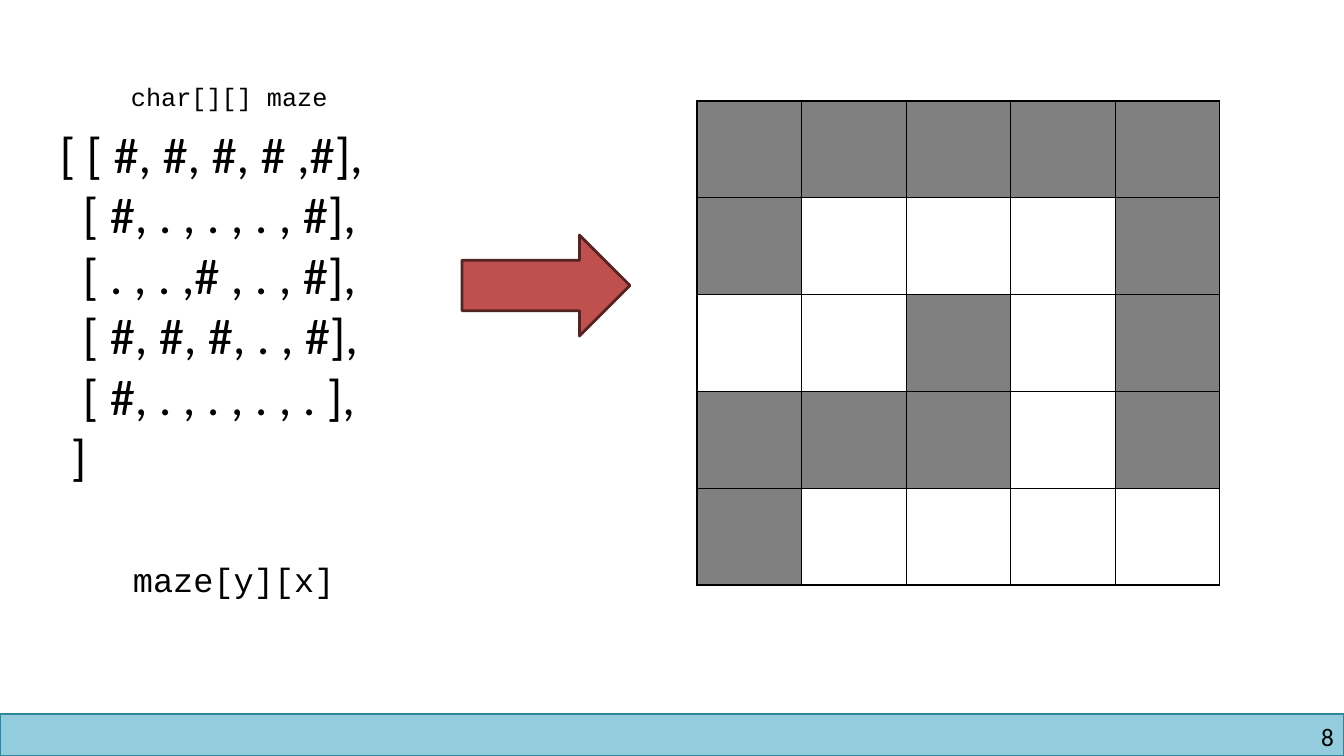
import dataclasses

import lxml.etree
import pptx
import pptx.dml.color
import pptx.enum.shapes
import pptx.enum.text
import pptx.oxml.ns
import pptx.util


@dataclasses.dataclass(frozen=True)
class Theme:
    ink: str = "000000"
    wall: str = "808080"
    floor: str = "FFFFFF"
    footer: str = "93CDDD"
    footer_line: str = "31859C"
    arrow: str = "C0504D"
    arrow_line: str = "542322"
    body_font: str = "Calibri"
    code_font: str = "Courier New"
    small: int = 18
    medium: int = 24
    large: int = 36


THEME = Theme()
EMU_PER_PX = 914400 / 100.8
SHAPES = pptx.enum.shapes.MSO_SHAPE
ALIGN = pptx.enum.text.PP_ALIGN


def px(*lengths):
    """Turn pixel lengths into a list of EMU lengths."""
    return [pptx.util.Emu(round(length * EMU_PER_PX)) for length in lengths]


def add_text(text, bounds, *, size, font, indents=(0,), align=ALIGN.LEFT, margins=None, wrap=False):
    """Add a text box with one paragraph per line, each with its own indent."""
    box = page.shapes.add_textbox(*px(*bounds))
    frame = box.text_frame
    frame.word_wrap = wrap
    frame.auto_size = pptx.enum.text.MSO_AUTO_SIZE.SHAPE_TO_FIT_TEXT
    if margins is not None:
        frame.margin_left = frame.margin_right = margins
        frame.margin_top = frame.margin_bottom = margins
    frame.text = text
    for para, indent in zip(frame.paragraphs, indents):
        para.alignment = align
        if indent:
            para._p.get_or_add_pPr().set("marL", str(px(indent)[0]))
        span = para.runs[0]
        span.font.name = font
        span.font.size = pptx.util.Pt(size)
        span.font.color.rgb = pptx.dml.color.RGBColor.from_string(THEME.ink)


deck = pptx.Presentation()
deck.slide_width, deck.slide_height = px(1344, 756)
page = deck.slides.add_slide(deck.slide_layouts[6])

# Footer bar and arrow
for kind, bounds, fill, line, width in [
    (SHAPES.RECTANGLE, (0, 714, 1344, 42), THEME.footer, THEME.footer_line, 1),
    (SHAPES.RIGHT_ARROW, (462, 235, 168, 101), THEME.arrow, THEME.arrow_line, 2),
]:
    shape = page.shapes.add_shape(kind, *px(*bounds))
    shape.shadow.inherit = False
    shape.fill.solid()
    shape.fill.fore_color.rgb = pptx.dml.color.RGBColor.from_string(fill)
    shape.line.color.rgb = pptx.dml.color.RGBColor.from_string(line)
    shape.line.width = pptx.util.Pt(width)

add_text("8", (1025, 721, 309, 30), size=THEME.small, font=THEME.body_font,
         align=ALIGN.RIGHT, margins=0, wrap=True)

# Maze drawn as a grid of walls and floors
maze = ["#####", "#...#", "..#.#", "###.#", "#...."]
left, top, width, height = px(697, 101, 523, 484)
grid = page.shapes.add_table(len(maze), len(maze[0]), left, top, width, height).table
grid.first_row = grid.horz_banding = False
for column in grid.columns:
    column.width = width // len(maze[0])
for row in grid.rows:
    row.height = height // len(maze)

for y, symbols in enumerate(maze):
    for x, symbol in enumerate(symbols):
        cell = grid.cell(y, x)
        properties = cell._tc.get_or_add_tcPr()
        for side in ("lnL", "lnR", "lnT", "lnB"):
            border = lxml.etree.SubElement(
                properties, pptx.oxml.ns.qn(f"a:{side}"), w=str(pptx.util.Pt(1)))
            paint = lxml.etree.SubElement(border, pptx.oxml.ns.qn("a:solidFill"))
            lxml.etree.SubElement(paint, pptx.oxml.ns.qn("a:srgbClr"), val=THEME.ink)
        cell.fill.solid()
        cell.fill.fore_color.rgb = pptx.dml.color.RGBColor.from_string(
            THEME.wall if symbol == "#" else THEME.floor)

# Maze written as an array
array_lines = [
    "[ [ #, #, #, # ,#],",
    "[ #, . , . , . , #],",
    "[ . , . ,# , . , #],",
    "[ #, #, #, . , #],",
    "[ #, . , . , . , . ],",
    "]",
]
add_text("\n".join(array_lines), (50, 118, 360, 377), size=THEME.large,
         font=THEME.body_font, indents=(0, 23, 23, 23, 23, 11))
add_text("char[][] maze", (121, 76, 218, 40), size=THEME.small, font=THEME.code_font)
add_text("maze[y][x]", (123, 554, 224, 50), size=THEME.medium, font=THEME.code_font)

deck.save("out.pptx")
